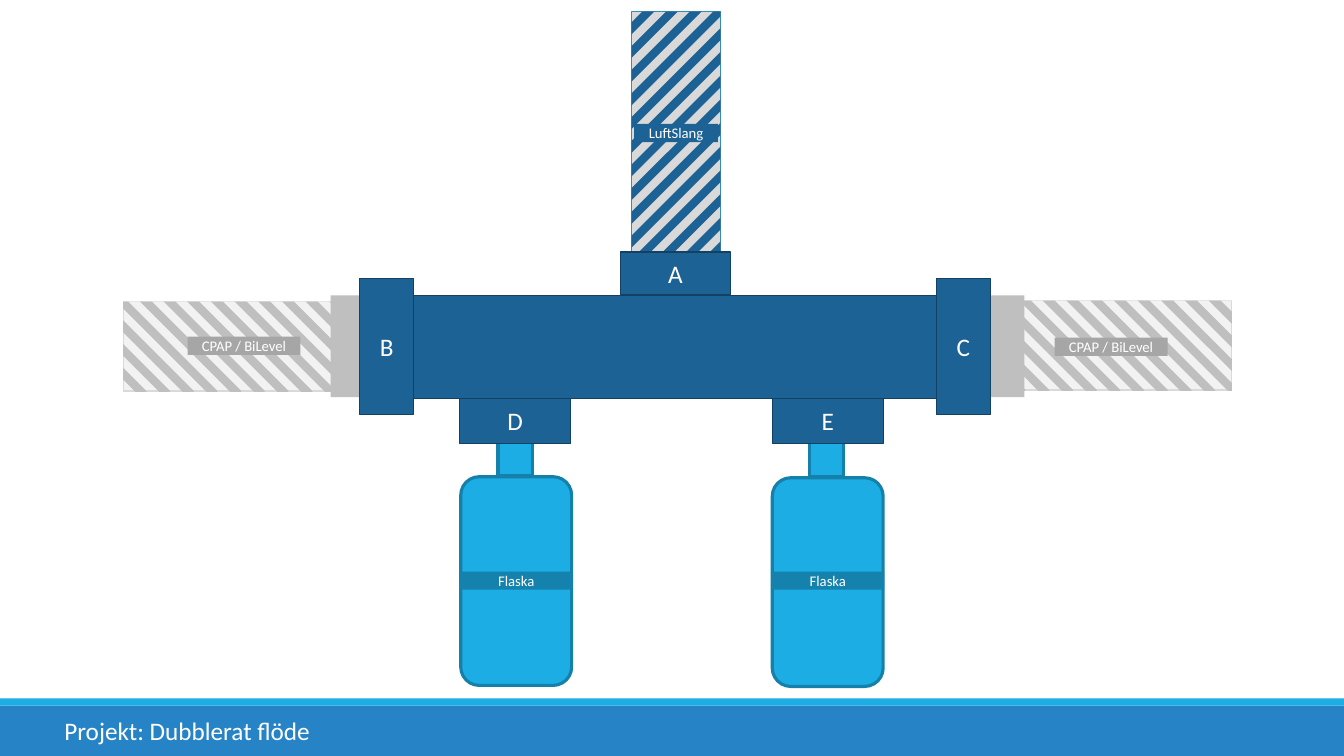
import dataclasses

import pptx
import pptx.dml.color
import pptx.enum.shapes
import pptx.enum.text
import pptx.util
from lxml import etree

Inches = pptx.util.Inches
Pt = pptx.util.Pt
Shape = pptx.enum.shapes.MSO_SHAPE


@dataclasses.dataclass(frozen=True)
class Theme:
    font: str = "Calibri"
    large: float = 18
    small: float = 10.5
    white: str = "FFFFFF"
    footer: str = "2683C6"
    sky: str = "1CADE4"
    teal: str = "1580A9"
    bottle_label: str = "1482AC"
    navy: str = "1D6294"
    navy_edge: str = "134163"
    tube_gray: str = "D9D9D9"
    tube_pale: str = "F2F2F2"
    stripe_gray: str = "BFBFBF"
    label_gray: str = "A6A6A6"


THEME = Theme()
PITCH = 0.235  # distance between hose stripes


def color(code):
    return pptx.dml.color.RGBColor.from_string(code)


def write(frame, text, size):
    para = frame.paragraphs[0]
    span = para.add_run()
    span.text = text
    span.font.name = THEME.font
    span.font.size = Pt(size)
    span.font.color.rgb = color(THEME.white)
    return para


def block(page, box, fill, edge=None, weight=0.75, text="", size=THEME.large,
          kind=Shape.RECTANGLE):
    shape = page.shapes.add_shape(kind, *map(Inches, box))
    shape.shadow.inherit = False
    shape.fill.solid()
    shape.fill.fore_color.rgb = color(fill)
    if edge:
        shape.line.color.rgb = color(edge)
        shape.line.width = Pt(weight)
    else:
        shape.line.fill.background()
    if text:
        frame = shape.text_frame
        frame.word_wrap = True
        frame.margin_left = frame.margin_right = 0
        frame.margin_top = frame.margin_bottom = 0
        frame.vertical_anchor = pptx.enum.text.MSO_ANCHOR.MIDDLE
        para = write(frame, text, size)
        para.alignment = pptx.enum.text.PP_ALIGN.CENTER


def stripe(page, start, end, tone):
    line = page.shapes.add_connector(
        pptx.enum.shapes.MSO_CONNECTOR.STRAIGHT, *map(Inches, start + end))
    line.line.color.rgb = color(tone)
    line.line.width = Pt(6)
    properties = line.element.spPr
    etree.SubElement(properties, pptx.oxml.ns.qn("a:effectLst"))


def hose(page, box, corner, count, fill, edge, tone):
    """Striped tube; the stripes are counted from the given corner."""
    left, top, width, height = box
    block(page, box, fill, edge, 1.25)

    # Diagonals, cut off just outside the tube
    pad = 0.03
    wide, high = width + 2 * pad, height + 2 * pad
    from_right, from_bottom = "right" in corner, "bottom" in corner

    def place(across, down):
        x = wide - across if from_right else across
        y = high - down if from_bottom else down
        return left - pad + x, top - pad + y

    for number in range(1, count + 1):
        reach = number * PITCH
        down, across = min(reach, high), min(reach, wide)
        stripe(page, place(reach - down, down), place(across, reach - across), tone)

    # White margins that trim the stripes along the sides and at the free end
    rim, gap = 0.08, 0.01
    west = (left - rim, top - rim, rim, height + 2 * rim)
    north = (left - rim, top - rim, width + 2 * rim, rim)
    east = (left + width, *west[1:])
    south = (left - rim, top + height + gap, *north[2:])
    if height > width:
        margins = west, east, north
    else:
        margins = north, south, east if from_right else west
    for margin in margins:
        block(page, margin, THEME.white)


def side_hose(page, box, corner, cuff_left, label_left, label_top):
    hose(page, box, corner, 13, THEME.tube_pale, THEME.tube_gray, THEME.stripe_gray)
    block(page, (cuff_left, 2.93, 0.4, 1.01), THEME.stripe_gray)
    block(page, (label_left, label_top, 1.12, 0.18), THEME.label_gray,
          text="CPAP / BiLevel", size=THEME.small)


def top_hose(page, box):
    hose(page, box, "top left", 14, THEME.tube_gray, THEME.teal, THEME.navy)
    left, top, width, height = box
    block(page, (left + 0.03, top + 1.12, 0.83, 0.18), THEME.navy,
          text="LuftSlang", size=THEME.small)


def bottle(page, box):
    left, top, width, height = box
    block(page, box, THEME.sky, THEME.teal, 2.25, kind=Shape.ROUNDED_RECTANGLE)
    block(page, (left + 0.37, top - 0.35, 0.34, 0.34), THEME.sky, THEME.teal, 2.25)
    block(page, (left - 0.01, 5.67, 1.12, 0.18), THEME.bottle_label,
          text="Flaska", size=THEME.small)


def manifold(page, box):
    left, top, width, height = box
    block(page, box, THEME.navy, THEME.navy_edge)
    ports = {
        "A": (left + 2.05, top - 0.43, 1.1, 0.42),
        "B": (left - 0.53, top - 0.17, 0.53, 1.35),
        "C": (left + width - 0.02, top - 0.17, 0.53, 1.35),
        "D": (left + 0.46, top + height, 1.1, 0.45),
        "E": (left + 3.56, top + height, 1.1, 0.45),
    }
    for name, port in ports.items():
        block(page, port, THEME.navy, THEME.navy_edge, text=name)


def footer(page, box):
    left, top, width, height = box
    block(page, box, THEME.footer)
    block(page, (left, top - 0.07, width, 0.07), THEME.sky)
    title = page.shapes.add_textbox(
        *map(Inches, (left + 0.54, top + 0.05, 2.67, 0.4)))
    title.text_frame.word_wrap = False
    write(title.text_frame, "Projekt: Dubblerat flöde", THEME.large)


def main():
    deck = pptx.Presentation()
    deck.slide_width, deck.slide_height = Inches(13.33), Inches(7.5)
    page = deck.slides.add_slide(deck.slide_layouts[6])

    footer(page, (0, 7, 13.33, 0.5))
    side_hose(page, (9.83, 2.98, 2.39, 0.89), "top right", 9.76, 10.46, 3.35)
    side_hose(page, (1.22, 2.99, 2.39, 0.89), "bottom left", 3.28, 1.86, 3.34)
    top_hose(page, (6.26, 0.11, 0.89, 2.39))
    bottle(page, (4.57, 4.73, 1.1, 2.07))
    bottle(page, (7.66, 4.74, 1.1, 2.07))
    manifold(page, (4.1, 2.93, 5.21, 1.02))

    deck.save("out.pptx")


if __name__ == "__main__":
    main()
